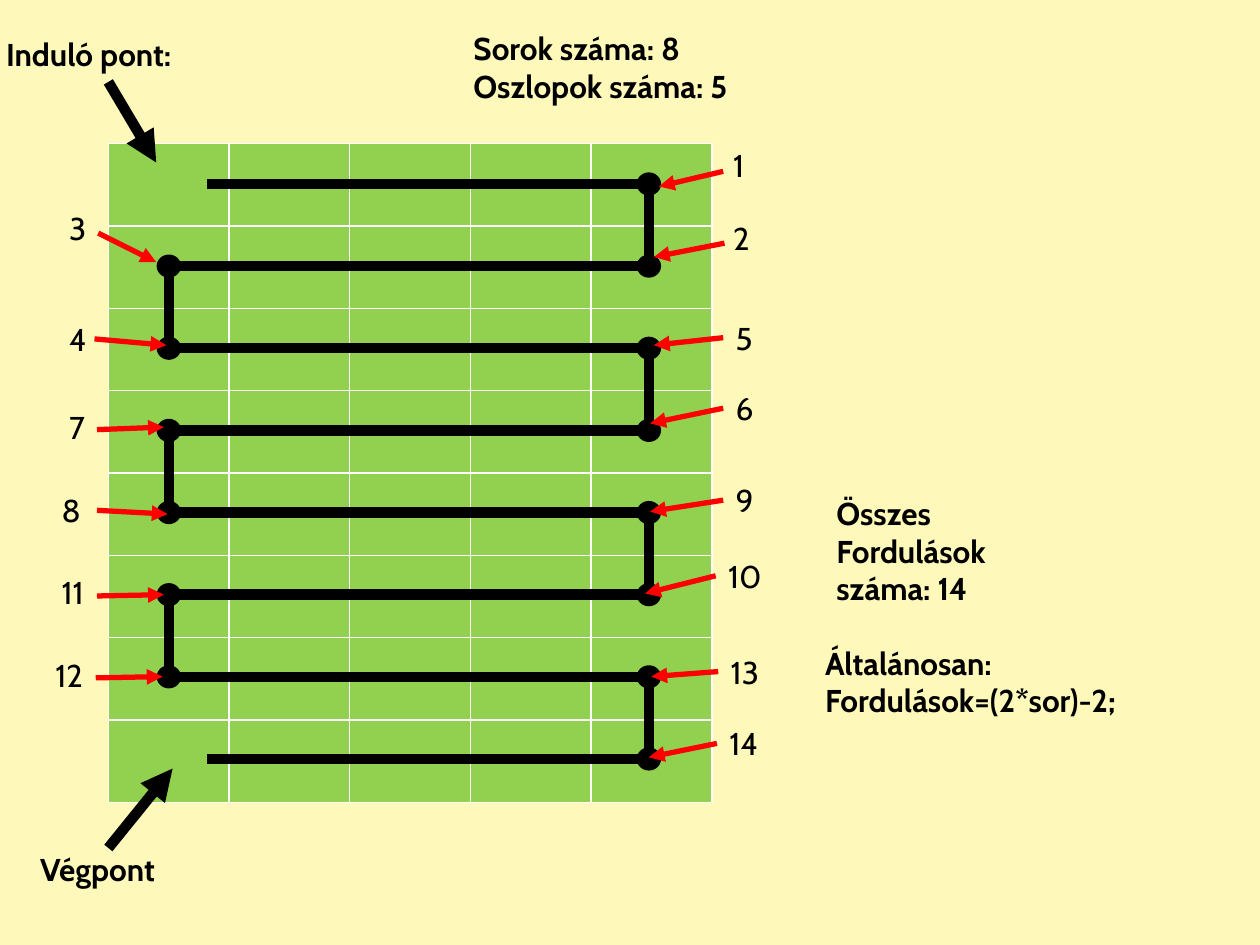
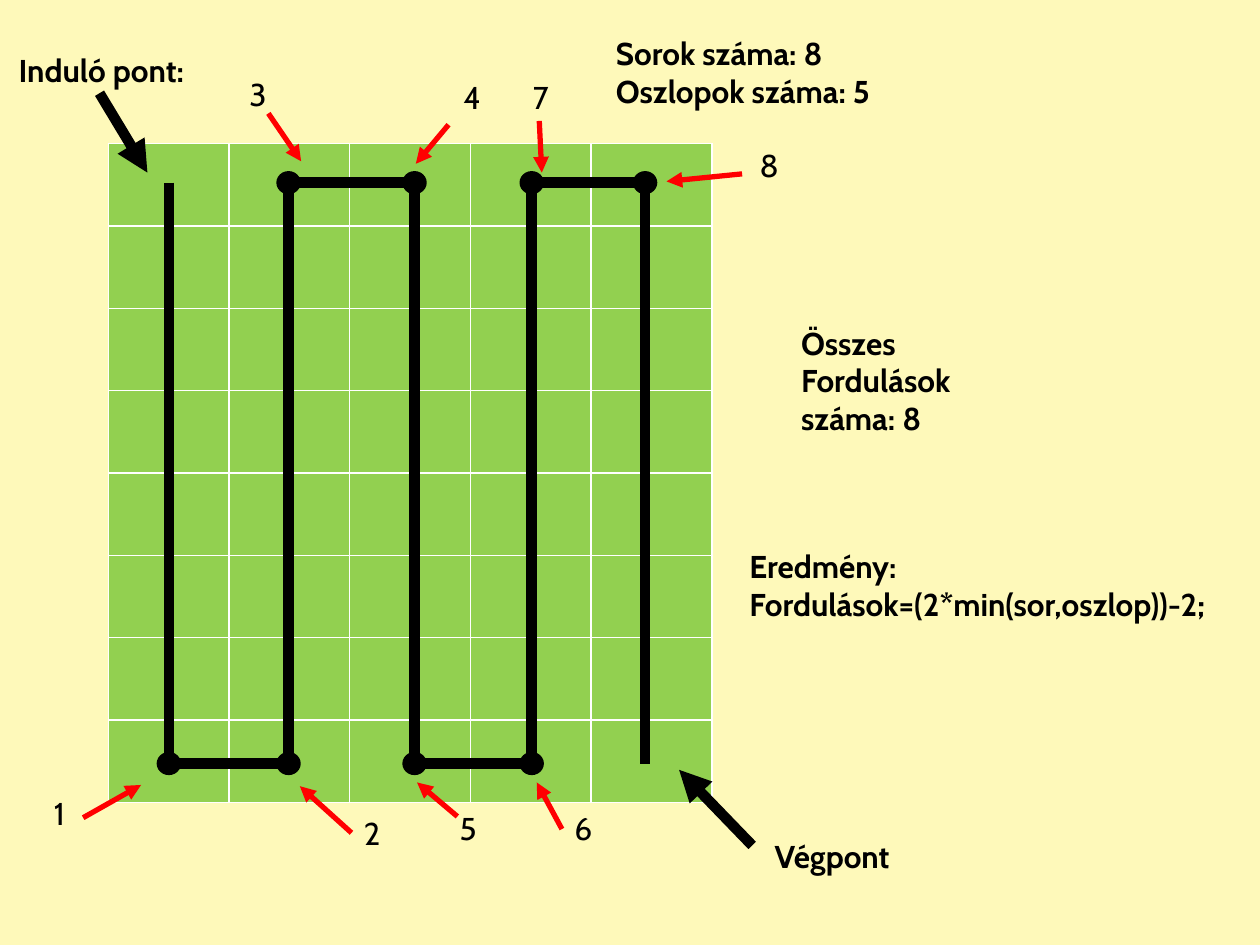
"""Build two slides that count the turns of a mowing route by rows and by columns."""
from dataclasses import dataclass

from lxml.etree import SubElement
from pptx import Presentation
from pptx.dml.color import RGBColor as Color
from pptx.enum.shapes import MSO_CONNECTOR as Connector, MSO_SHAPE as Shape
from pptx.enum.text import MSO_AUTO_SIZE as AutoSize
from pptx.oxml.ns import qn
from pptx.util import Inches, Pt


@dataclass(frozen=True)
class Theme:
    paper: Color = Color.from_string("FEF9BA")
    lawn: Color = Color.from_string("92D050")
    gap: Color = Color.from_string("FFFFFF")
    ink: Color = Color.from_string("000000")
    pointer: Color = Color.from_string("FF0000")
    font: str = "Cabin"
    text_size: Pt = Pt(18)
    route_width: Pt = Pt(6)
    pointer_width: Pt = Pt(3)
    thin_width: Pt = Pt(1)


theme = Theme()
deck = Presentation()
deck.slide_width, deck.slide_height = Inches(10), Inches(7.5)
cell_size = deck.slide_width / 100
background = deck.slide_master.background.fill
background.solid()
background.fore_color.rgb = theme.paper


def add_line(page, start, end, color, width, arrow=False):
    ends = [int(value * cell_size) for value in (*start, *end)]
    line = page.shapes.add_connector(Connector.STRAIGHT, *ends)
    line.line.color.rgb = color
    line.line.width = width
    properties = line.element.spPr
    if arrow:
        SubElement(properties.find(qn("a:ln")), qn("a:tailEnd"), type="triangle")
    SubElement(properties, qn("a:effectLst"))


def add_text(page, lines, left, top, width, bold=True):
    height = 1 + 3 * len(lines)
    area = [int(value * cell_size) for value in (left, top, width, height)]
    frame = page.shapes.add_textbox(*area).text_frame
    frame.word_wrap = True
    frame.auto_size = AutoSize.SHAPE_TO_FIT_TEXT
    frame.text = "\n".join(lines)
    for para in frame.paragraphs:
        para.font.name = theme.font
        para.font.size = theme.text_size
        para.font.bold = bold
        para.font.color.rgb = theme.ink


ROWS, COLUMNS = 8, 5
LAWN_AREA = (8.6, 11.4, 47.9, 52.3)
DOT_WIDTH, DOT_HEIGHT = 1.8, 1.7

row_route = []
for row in range(ROWS):
    y = 14.6 + 6.52 * row
    sides = (13.4, 51.5) if row % 2 == 0 else (51.5, 13.4)
    row_route += [(x, y) for x in sides]
row_route[0] = (16.4, row_route[0][1])
row_route[-1] = (16.4, row_route[-1][1])

column_route = []
for column, x in enumerate((13.4, 22.9, 32.9, 42.2, 51.2)):
    sides = (14.5, 60.6) if column % 2 == 0 else (60.6, 14.5)
    column_route += [(x, y) for y in sides]

size_lines = [f"Sorok száma: {ROWS}", f"Oszlopok száma: {COLUMNS}"]
slides = [
    {
        "route": row_route,
        "texts": [
            (["Induló pont:"], -0.5, 2.3, 16.6),
            (["Végpont"], 2.2, 67, 12.9),
            (size_lines, 36.6, 1.8, 42.7),
            (["Összes Fordulások száma: 14"], 65.4, 38.7, 20.7),
            (["Általánosan:", "Fordulások=(2*sor)-2;"], 64.5, 50.6, 50),
        ],
        "end_arrows": [((8.6, 6.5), (12.4, 12.9)), ((8.6, 67.3), (13.7, 61))],
        "turns": [
            ((57.2, 11.1), (57.4, 13.6), (52.3, 14.8)),
            ((57.2, 16.9), (57.5, 19.3), (51.9, 20.4)),
            ((4.5, 16.1), (7.8, 18.5), (12.4, 20.8)),
            ((4.5, 24.9), (7.5, 26.9), (13.2, 27.4)),
            ((57.4, 24.8), (57.4, 26.8), (51.9, 27.4)),
            ((57.4, 30.4), (57.4, 32.4), (51.6, 33.6)),
            ((4.5, 31.9), (7.7, 34.1), (13, 33.9)),
            ((3.9, 38.5), (7.7, 40.5), (13.3, 40.8)),
            ((57.4, 37.7), (57.4, 39.7), (51.6, 40.6)),
            ((56.8, 43.7), (56.8, 45.7), (51.2, 47.1)),
            ((3.9, 45), (7.7, 47.3), (13, 47.2)),
            ((3.4, 51.6), (7.6, 53.8), (12.9, 53.7)),
            ((57, 51.3), (57, 53.3), (51.7, 53.7)),
            ((56.9, 57), (56.9, 59), (51.5, 60.1)),
        ],
    },
    {
        "route": column_route,
        "texts": [
            (["Induló pont:"], 0.5, 3.6, 16.6),
            (["Végpont"], 60.5, 65.9, 12.9),
            (size_lines, 47.9, 2.2, 44),
            (["Összes Fordulások száma: 8"], 62.6, 25.2, 20.7),
            (["Eredmény:", "Fordulások=(2*min(sor,oszlop))-2;"], 58.5, 42.9, 50),
        ],
        "end_arrows": [((7.9, 7.4), (11.7, 13.7)), ((59.7, 67.1), (53.9, 61.1))],
        "turns": [
            ((3.3, 62.5), (6.6, 64.9), (11.2, 62.3)),
            ((27.9, 64.1), (27.9, 66.1), (23.8, 62.4)),
            ((18.8, 5.5), (21.3, 9), (23.9, 12.8)),
            ((35.8, 5.7), (35.6, 9.9), (33, 13)),
            ((35.5, 63.7), (36.3, 64.8), (33.1, 62.1)),
            ((44.6, 63.7), (44.6, 65.8), (42.6, 62.1)),
            ((41.3, 5.7), (42.8, 9.6), (43, 13.7)),
            ((59.3, 11.1), (58.9, 13.8), (52.9, 14.4)),
        ],
    },
]

for content in slides:
    page = deck.slides.add_slide(deck.slide_layouts[6])

    area = [int(value * cell_size) for value in LAWN_AREA]
    lawn = page.shapes.add_table(ROWS, COLUMNS, *area).table
    lawn.first_row = lawn.horz_banding = False
    for cell in lawn.iter_cells():
        properties = cell._tc.get_or_add_tcPr()
        for side in ("lnL", "lnR", "lnT", "lnB"):
            border = SubElement(properties, qn(f"a:{side}"), w=str(theme.thin_width))
            fill = SubElement(border, qn("a:solidFill"))
            SubElement(fill, qn("a:srgbClr"), val=str(theme.gap))
        cell.fill.solid()
        cell.fill.fore_color.rgb = theme.lawn

    route = content["route"]
    for start, end in zip(route, route[1:]):
        add_line(page, start, end, theme.ink, theme.route_width)
    for x, y in route[1:-1]:
        box = (x - DOT_WIDTH / 2, y - DOT_HEIGHT / 2, DOT_WIDTH, DOT_HEIGHT)
        area = [int(value * cell_size) for value in box]
        dot = page.shapes.add_shape(Shape.FLOWCHART_CONNECTOR, *area)
        dot.shadow.inherit = False
        dot.fill.solid()
        dot.fill.fore_color.rgb = theme.ink
        dot.line.color.rgb = theme.ink
        dot.line.width = theme.thin_width

    for start, end in content["end_arrows"]:
        add_line(page, start, end, theme.ink, theme.route_width, arrow=True)
    for number, (label, start, tip) in enumerate(content["turns"], 1):
        add_text(page, [str(number)], *label, 3.8 if number < 10 else 5.5, bold=False)
        add_line(page, start, tip, theme.pointer, theme.pointer_width, arrow=True)
    for text in content["texts"]:
        add_text(page, *text)

deck.save("out.pptx")
